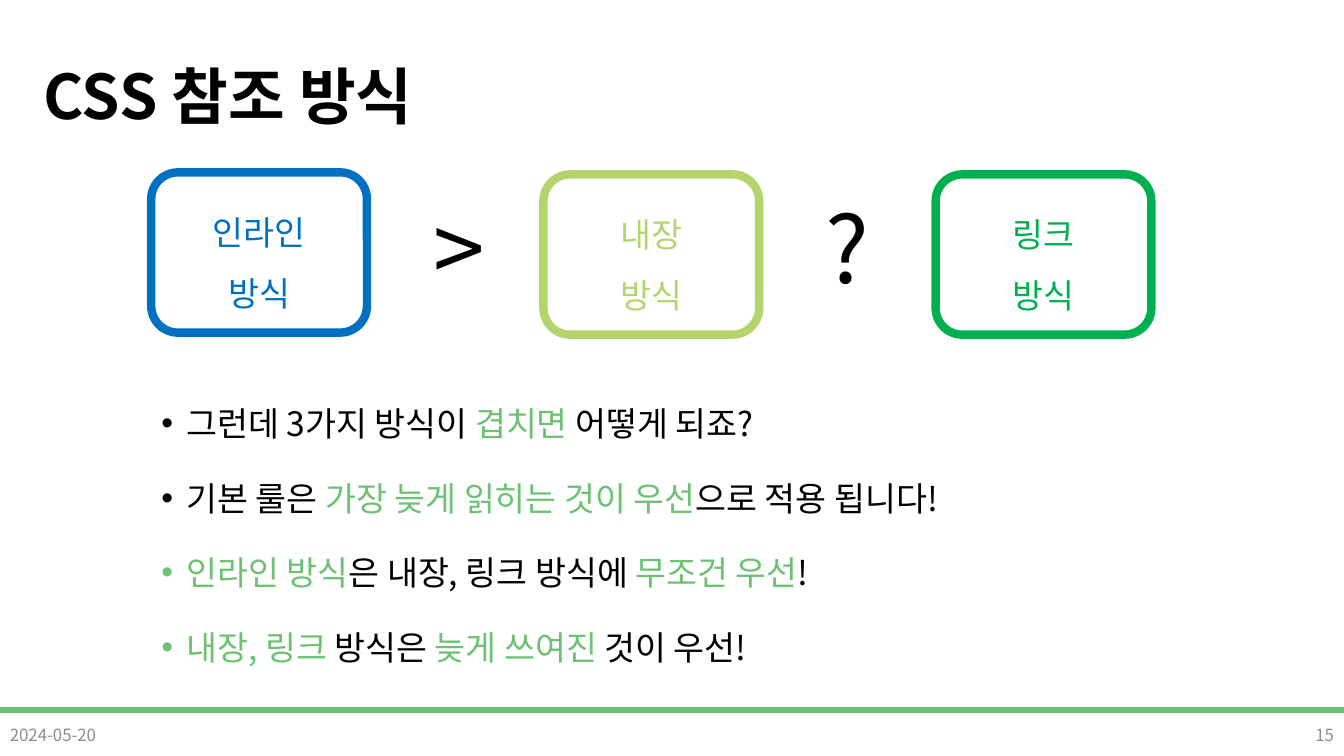
from dataclasses import dataclass

from lxml.etree import SubElement
from pptx import Presentation
from pptx.dml.color import RGBColor
from pptx.enum.shapes import MSO_SHAPE
from pptx.enum.text import MSO_ANCHOR, MSO_AUTO_SIZE, PP_ALIGN
from pptx.oxml.ns import qn
from pptx.util import Emu, Pt

PX = 9144


@dataclass(frozen=True)
class Theme:
    """Colours, typeface and type sizes of the slide."""
    font: str = "Noto Sans CJK KR"
    ink: str = "000000"
    accent: str = "6EC173"
    muted: str = "8C8C8C"
    inline: str = "0070C0"
    embedded: str = "B4D56D"
    linked: str = "00B050"
    title_size: int = 44
    sign_size: int = 66
    text_size: int = 24
    footer_size: int = 12


THEME = Theme()

BULLETS = [
    [("그런데 3가지 방식이 ", THEME.ink), ("겹치면", THEME.accent), (" 어떻게 되죠?", THEME.ink)],
    [("기본 룰은 ", THEME.ink), ("가장 늦게 읽히는 것이 우선", THEME.accent), ("으로 적용 됩니다!", THEME.ink)],
    [("인라인 방식", THEME.accent), ("은 내장, 링크 방식에 ", THEME.ink), ("무조건 우선", THEME.accent), ("!", THEME.ink)],
    [("내장, 링크 ", THEME.accent), ("방식은 ", THEME.ink), ("늦게 쓰여진 ", THEME.accent), ("것이 우선!", THEME.ink)],
]
METHODS = [("인라인", THEME.inline, 171), ("내장", THEME.embedded, 173), ("링크", THEME.linked, 173)]


def apply_format(target, values):
    """Set each named value as an attribute of the target."""
    for name, value in values.items():
        setattr(target, name, value)


def place(shape, left, top, width, height):
    """Move and size a shape in px."""
    apply_format(shape, {"left": Emu(left * PX), "top": Emu(top * PX),
                         "width": Emu(width * PX), "height": Emu(height * PX)})


def add_run(paragraph, text, color, size, bold=False):
    """Add one run in the theme typeface."""
    run = paragraph.add_run()
    run.text = text
    run.font.color.rgb = RGBColor.from_string(color)
    apply_format(run.font, {"name": THEME.font, "size": Pt(size), "bold": bold})
    SubElement(run.font._element, qn("a:ea"), typeface=THEME.font)


def add_bullet(paragraph):
    """Give a paragraph a hanging round bullet."""
    properties = paragraph._p.get_or_add_pPr()
    properties.set("marL", str(25 * PX))
    properties.set("indent", str(-25 * PX))
    SubElement(properties, qn("a:buFont"), typeface="Arial")
    SubElement(properties, qn("a:buChar"), char="•")


def write(shape, lines, size, anchor=MSO_ANCHOR.MIDDLE, align=PP_ALIGN.LEFT,
          spacing=1.0, gap=0, bold=False, bulleted=False):
    """Fill a shape with paragraphs made of coloured runs."""
    frame = shape.text_frame
    apply_format(frame, {"word_wrap": True, "auto_size": MSO_AUTO_SIZE.NONE,
                         "vertical_anchor": anchor})
    for index, runs in enumerate(lines):
        paragraph = frame.add_paragraph() if index else frame.paragraphs[0]
        if bulleted:
            add_bullet(paragraph)
        apply_format(paragraph, {"alignment": align, "line_spacing": spacing,
                                 "space_before": Pt(gap if index else 0)})
        for text, color in runs:
            add_run(paragraph, text, color, size, bold)


def add_label(slide, box, text, color, size, **layout):
    """Add a one-line text box."""
    label = slide.shapes.add_textbox(*(Emu(length * PX) for length in box))
    write(label, [[(text, color)]], size, **layout)


def add_footer_bar(slide):
    """Add the coloured rule above the footer."""
    bar = slide.shapes.add_shape(MSO_SHAPE.RECTANGLE, 0, 0, 0, 0)
    place(bar, 0, 702, 1333, 5)
    bar.shadow.inherit = False
    bar.fill.solid()
    bar.fill.fore_color.rgb = RGBColor.from_string(THEME.accent)
    bar.line.color.rgb = RGBColor.from_string(THEME.accent)
    bar.line.width = Pt(1)


def add_method(slide, left, top, name, color):
    """Add one outlined reference method box."""
    box = slide.shapes.add_shape(MSO_SHAPE.ROUNDED_RECTANGLE, 0, 0, 0, 0)
    place(box, left, top, 214, 159)
    box.shadow.inherit = False
    box.fill.background()
    box.line.color.rgb = RGBColor.from_string(color)
    box.line.width = Pt(6)
    write(box, [[(name, color)], [("방식", color)]], THEME.text_size,
          align=PP_ALIGN.CENTER, spacing=1.5)


def main():
    """Build and save the slide."""
    presentation = Presentation()
    apply_format(presentation, {"slide_width": Emu(1333 * PX), "slide_height": Emu(750 * PX)})
    slide = presentation.slides.add_slide(presentation.slide_layouts[1])
    title, body = slide.placeholders

    add_footer_bar(slide)
    place(title, 33, 26, 1150, 145)
    write(title, [[("CSS 참조 방식", THEME.ink)]], THEME.title_size, spacing=0.9, bold=True)
    place(body, 150, 375, 1064, 307)
    write(body, BULLETS, THEME.text_size, anchor=MSO_ANCHOR.TOP,
          spacing=1.5, gap=10, bulleted=True)

    for column, (name, color, top) in enumerate(METHODS):
        add_method(slide, 150 + 389 * column, top, name, color)
    for column, sign in enumerate(">?"):
        add_label(slide, (419 + 385 * column, 179, 73, 145), sign, THEME.ink,
                  THEME.sign_size, align=PP_ALIGN.CENTER, spacing=0.9)

    add_label(slide, (0, 709, 300, 40), "2024-05-20", THEME.muted, THEME.footer_size)
    add_label(slide, (1033, 709, 300, 40), "15", THEME.muted, THEME.footer_size,
              align=PP_ALIGN.RIGHT)
    presentation.save("out.pptx")


if __name__ == "__main__":
    main()
